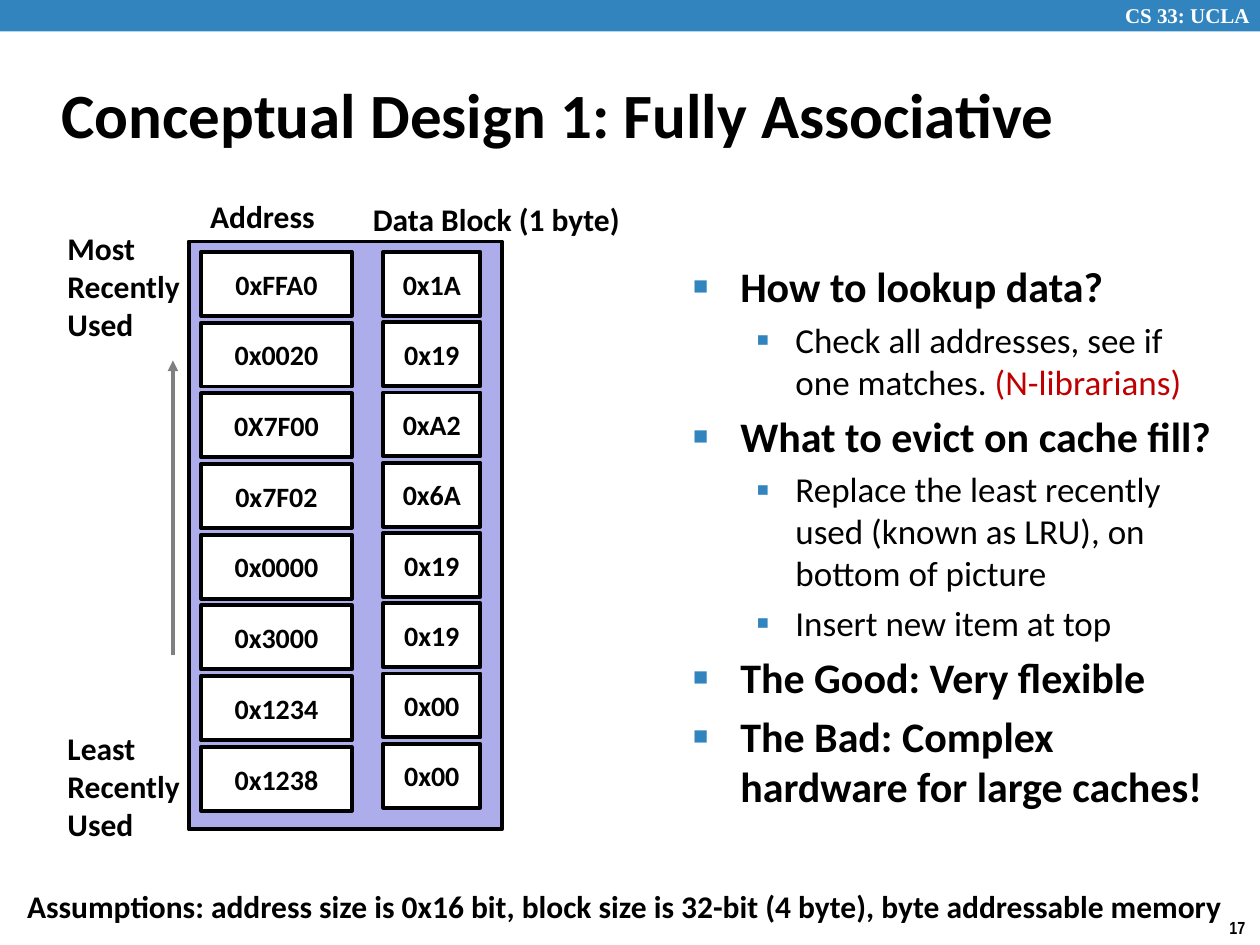
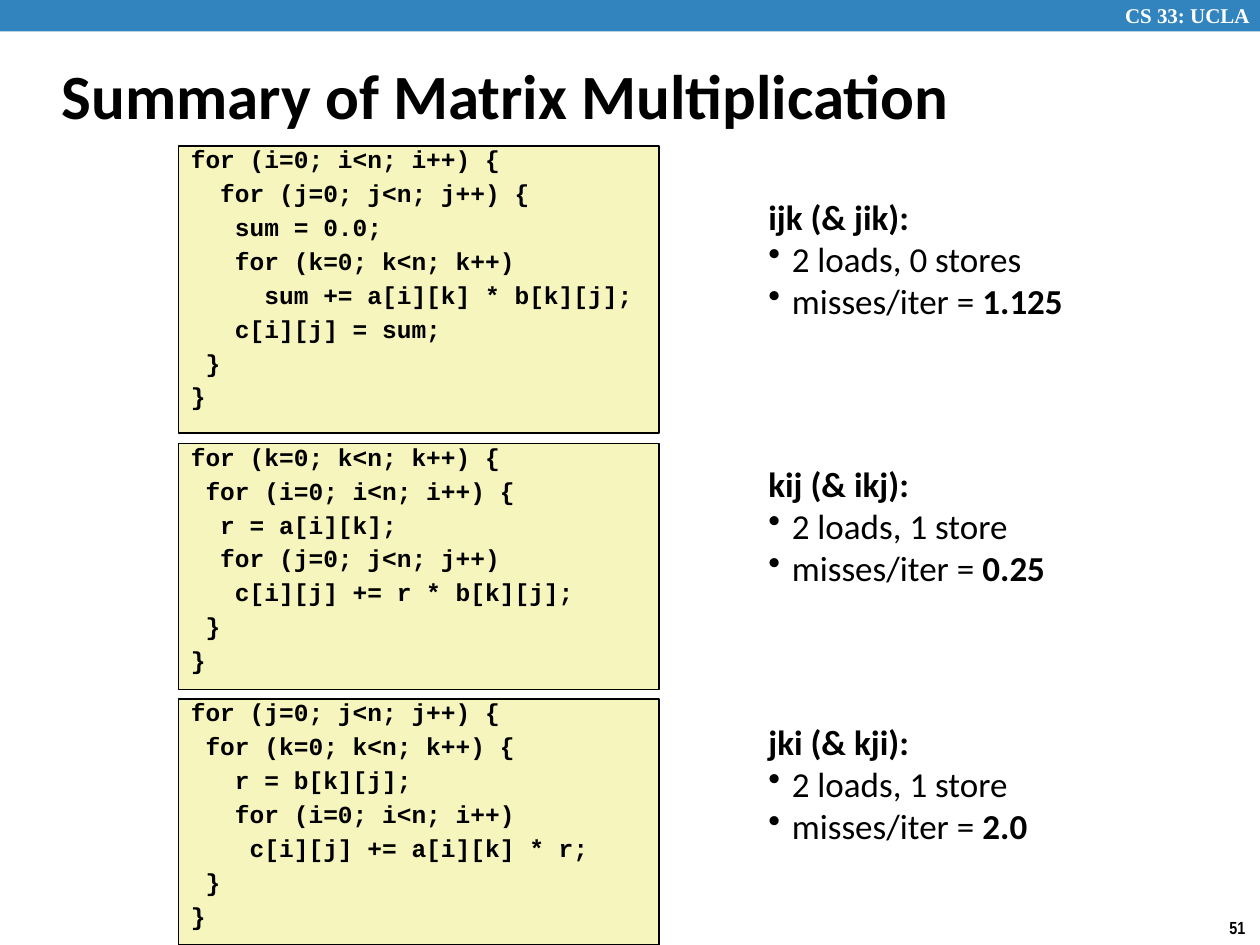
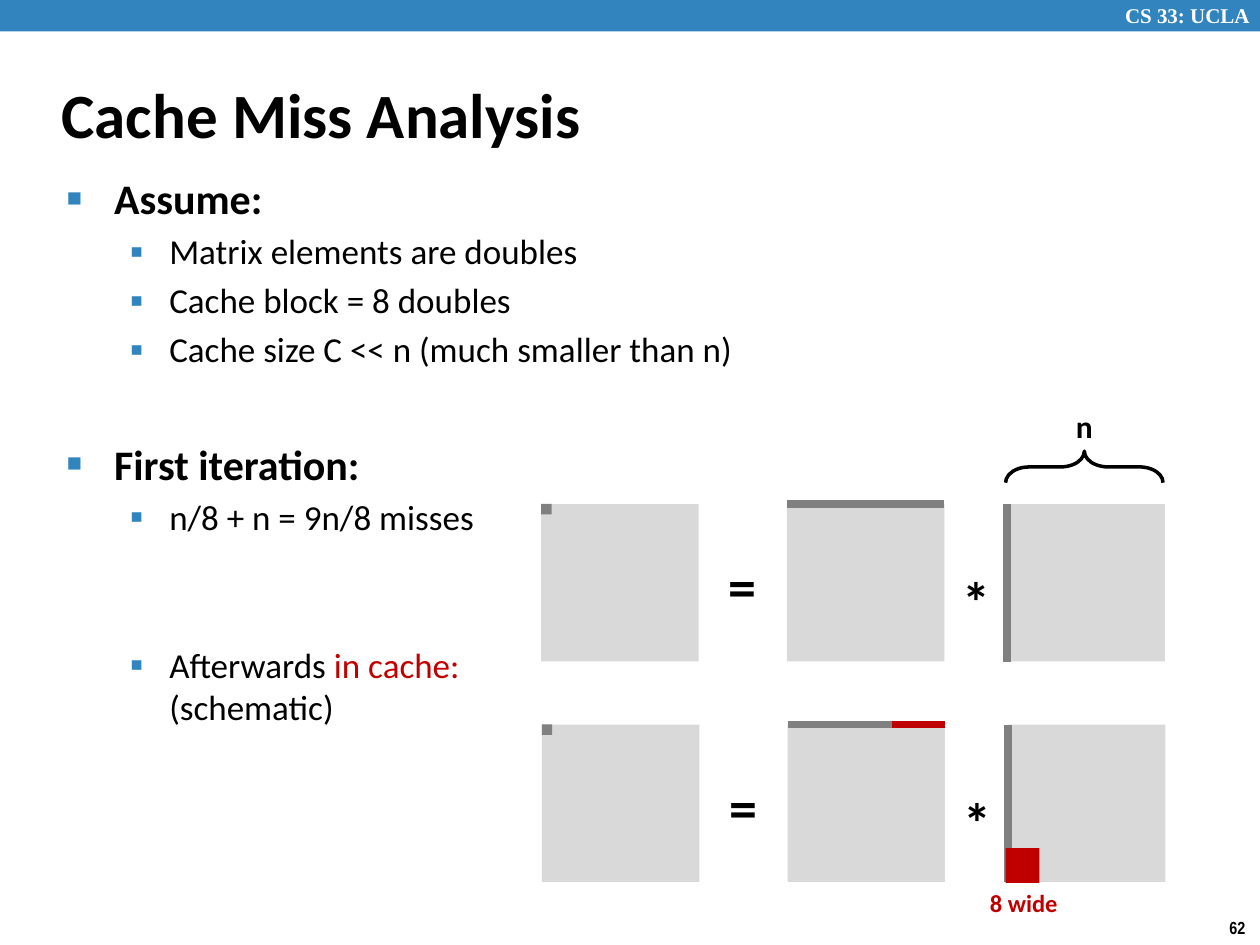
from dataclasses import dataclass
from typing import NamedTuple

from lxml import etree
from pptx import Presentation
from pptx.dml.color import RGBColor
from pptx.enum.shapes import MSO_CONNECTOR, MSO_SHAPE
from pptx.enum.text import MSO_ANCHOR, MSO_AUTO_SIZE, PP_ALIGN
from pptx.oxml.ns import qn
from pptx.util import Pt

RECTANGLE = MSO_SHAPE.RECTANGLE
LEFT_BRACE = MSO_SHAPE.LEFT_BRACE
STRAIGHT = MSO_CONNECTOR.STRAIGHT
TOP, MIDDLE = MSO_ANCHOR.TOP, MSO_ANCHOR.MIDDLE
LEFT, CENTER = PP_ALIGN.LEFT, PP_ALIGN.CENTER
NO_AUTOFIT = MSO_AUTO_SIZE.NONE

SLIDE_WIDTH, SLIDE_HEIGHT = 720, 540
TITLE_AND_BODY, TITLE_ONLY = 1, 5
BLACK, WHITE, BLUE, RED = "000000", "FFFFFF", "3284BF", "C00000"
LAVENDER, CREAM, LIGHT_GRAY, GRAY = "ADADEB", "F6F5BD", "D9D9D9", "808080"


class Frame(NamedTuple):
    left: float
    top: float
    width: float
    height: float


class Span(NamedTuple):
    text: str
    color: str | None = None
    bold: bool | None = None


@dataclass(frozen=True)
class Style:
    size: float
    font: str = "Calibri"
    color: str = BLACK
    bold: bool = True


@dataclass(frozen=True)
class Bullet:
    char: str
    margin: float
    hanging: float
    color: str = BLACK
    percent: int = 100


@dataclass(frozen=True)
class Level:
    style: Style
    bullet: Bullet
    space_before: float


@dataclass(frozen=True)
class Item:
    level: int
    spans: tuple[Span, ...]
    space_before: float | None = None


@dataclass(frozen=True)
class LoopOrder:
    frame: Frame
    code: str
    name: str
    note_top: float
    note_width: float
    accesses: str
    misses: str


TITLE = Style(36)
LABEL = Style(18)
CELL = Style(16)
CODE = Style(14, "Courier New")
OPERATOR = Style(32)
NOTE_HEAD, NOTE = Style(20), Style(20, bold=False)
NOTE_BULLET = Bullet("•", 13.4, 13.4)
LEVELS = (
    Level(Style(24), Bullet("■", 27, 27, BLUE, 60), 4.8),
    Level(Style(20, bold=False), Bullet("▪", 58.5, 22.5, BLUE, 110), 4),
)


def rgb(color: str) -> RGBColor:
    return RGBColor.from_string(color)


def points(frame: Frame) -> list[Pt]:
    return [Pt(value) for value in frame]


def write(paragraph, spans, style: Style) -> None:
    """Fill a paragraph; a span holding only a newline is a line break."""
    font = paragraph.font
    font.size, font.name, font.bold = Pt(style.size), style.font, style.bold
    font.color.rgb = rgb(style.color)
    for span in spans:
        if span.text == "\n":
            paragraph.add_line_break()
            continue
        run = paragraph.add_run()
        run.text = span.text
        if span.color:
            run.font.color.rgb = rgb(span.color)
        if span.bold is not None:
            run.font.bold = span.bold


def add_bullet(paragraph, bullet: Bullet) -> None:
    properties = paragraph._p.get_or_add_pPr()
    properties.set("marL", str(Pt(bullet.margin)))
    properties.set("indent", str(-Pt(bullet.hanging)))
    color = etree.SubElement(properties, qn("a:buClr"))
    etree.SubElement(color, qn("a:srgbClr"), val=bullet.color)
    etree.SubElement(properties, qn("a:buSzPct"), val=str(bullet.percent * 1000))
    etree.SubElement(properties, qn("a:buChar"), char=bullet.char)


def next_paragraph(text_frame, index: int):
    return text_frame.add_paragraph() if index else text_frame.paragraphs[0]


def add_label(page, frame: Frame, text: str, style: Style, wrap: bool = False):
    box = page.shapes.add_textbox(*points(frame))
    box.text_frame.word_wrap = wrap
    write(box.text_frame.paragraphs[0], [Span(text)], style)


def add_box(page, frame: Frame, fill: str, line_width: float = 0):
    box = page.shapes.add_shape(RECTANGLE, *points(frame))
    box.shadow.inherit = False
    box.fill.solid()
    box.fill.fore_color.rgb = rgb(fill)
    if line_width:
        box.line.color.rgb = rgb(BLACK)
        box.line.width = Pt(line_width)
    else:
        box.line.fill.background()
    return box


def add_line(page, start, end, color: str, width: float, arrow: bool = False):
    line = page.shapes.add_connector(STRAIGHT, *map(Pt, (*start, *end)))
    line.line.color.rgb = rgb(color)
    line.line.width = Pt(width)
    if arrow:
        etree.SubElement(line.line._get_or_add_ln(), qn("a:tailEnd"), type="triangle")
    etree.SubElement(line._element.spPr, qn("a:effectLst"))


def place(shape, frame: Frame, anchor) -> None:
    shape.left, shape.top, shape.width, shape.height = points(frame)
    shape.text_frame.auto_size = NO_AUTOFIT
    shape.text_frame.vertical_anchor = anchor


def add_page(deck, layout: int, title: str, number: int, title_top: float = 34.5):
    """Add a slide with the band, course name, page number and title."""
    page = deck.slides.add_slide(deck.slide_layouts[layout])
    add_box(page, Frame(0, 0, SLIDE_WIDTH, 18), BLUE)
    add_label(page, Frame(635.8, -2.2, 89.3, 21.6), "CS 33: UCLA",
              Style(12, "Times New Roman", WHITE))
    add_label(page, Frame(695.5, 520.6, 24.5, 19.4), str(number),
              Style(10, "Arial Narrow"))
    heading = page.shapes.title
    place(heading, Frame(28, title_top, 597.6, 60), MIDDLE)
    paragraph = heading.text_frame.paragraphs[0]
    paragraph.alignment = LEFT
    write(paragraph, [Span(title)], TITLE)
    return page


def fill_body(page, frame: Frame, items: list[Item]) -> None:
    body = page.placeholders[1]
    place(body, frame, TOP)
    for index, item in enumerate(items):
        level = LEVELS[item.level]
        paragraph = next_paragraph(body.text_frame, index)
        paragraph.level = item.level
        space = level.space_before if item.space_before is None else item.space_before
        paragraph.space_before = Pt(space if index else 0)
        add_bullet(paragraph, level.bullet)
        write(paragraph, item.spans, level.style)


def add_cells(page, left: float, width: float, pitch: float, values: str) -> None:
    for row, value in enumerate(values.split()):
        cell = add_box(page, Frame(left, 144 + row * pitch, width, 36.5), WHITE, 2.25)
        cell.text_frame.word_wrap = False
        cell.text_frame.vertical_anchor = MIDDLE
        paragraph = cell.text_frame.paragraphs[0]
        paragraph.alignment = CENTER
        write(paragraph, [Span(value)], CELL)


def build_associative(deck) -> None:
    page = add_page(deck, TITLE_AND_BODY, "Conceptual Design 1: Fully Associative", 17)
    add_box(page, Frame(108, 138, 178.8, 336), LAVENDER, 2.25)
    add_label(page, Frame(113, 109, 75, 29), "Address", LABEL)
    add_label(page, Frame(206, 110.8, 157, 29), "Data Block (1 byte)", LABEL)
    add_cells(page, 115, 86, 40.4,
              "0xFFA0 0x0020 0X7F00 0x7F02 0x0000 0x3000 0x1234 0x1238")
    add_cells(page, 219, 55.5, 40.15, "0x1A 0x19 0xA2 0x6A 0x19 0x19 0x00 0x00")
    add_label(page, Frame(8.4, 503.5, 709, 29),
              "Assumptions: address size is 0x16 bit, block size is 32-bit (4 byte), "
              "byte addressable memory", LABEL)
    fill_body(page, Frame(388.8, 145.4, 313.2, 328.3), [
        Item(0, (Span("How to lookup data?"),)),
        Item(1, (Span("Check all addresses, see if one matches. "),
                 Span("(N-librarians)", RED))),
        Item(0, (Span("What to evict on cache fill?"),)),
        Item(1, (Span("Replace the least recently used (known as LRU), "
                      "on bottom of picture"),)),
        Item(1, (Span("Insert new item at top"),)),
        Item(0, (Span("The Good: Very flexible"),)),
        Item(0, (Span("The Bad: Complex hardware for large caches!"),)),
    ])
    add_line(page, (98.8, 374.4), (98.8, 206), GRAY, 2, arrow=True)
    for top, extreme in ((127.4, "Most"), (413.3, "Least")):
        add_label(page, Frame(31.5, top, 83.5, 72.7), f"{extreme} Recently Used",
                  LABEL, wrap=True)


LOOP_ORDERS = (
    LoopOrder(Frame(102, 83.5, 274.5, 164), """\
for (i=0; i<n; i++) {
  for (j=0; j<n; j++) {
   sum = 0.0;
   for (k=0; k<n; k++)
     sum += a[i][k] * b[k][j];
   c[i][j] = sum;
 }
}""", "ijk (& jik):", 108, 194.4, "2 loads, 0 stores", "1.125"),
    LoopOrder(Frame(102, 253.5, 274.5, 140.5), """\
for (k=0; k<n; k++) {
 for (i=0; i<n; i++) {
  r = a[i][k];
  for (j=0; j<n; j++)
   c[i][j] += r * b[k][j];
 }
}""", "kij (& ikj):", 260.5, 184.3, "2 loads, 1 store", "0.25"),
    LoopOrder(Frame(102, 399.5, 274.5, 140.5), """\
for (j=0; j<n; j++) {
 for (k=0; k<n; k++) {
   r = b[k][j];
   for (i=0; i<n; i++)
    c[i][j] += a[i][k] * r;
 }
}""", "jki (& kji):", 408, 175, "2 loads, 1 store", "2.0"),
)


def add_code(page, frame: Frame, code: str) -> None:
    box = add_box(page, frame, CREAM, 1)
    box.text_frame.vertical_anchor = TOP
    for index, text in enumerate(code.splitlines()):
        paragraph = next_paragraph(box.text_frame, index)
        paragraph.alignment = LEFT
        paragraph.line_spacing = 0.7
        paragraph.space_before = Pt(7.6 if index else 0)
        write(paragraph, [Span(text)], CODE)


def add_note(page, order: LoopOrder) -> None:
    note = page.shapes.add_textbox(
        *points(Frame(432, order.note_top, order.note_width, 80)))
    frame = note.text_frame
    frame.word_wrap = False
    write(frame.paragraphs[0], [Span(order.name)], NOTE_HEAD)
    for spans in ([Span(order.accesses)],
                  [Span("misses/iter = "), Span(order.misses, bold=True)]):
        paragraph = frame.add_paragraph()
        add_bullet(paragraph, NOTE_BULLET)
        write(paragraph, spans, NOTE)


def build_matrix_summary(deck) -> None:
    page = add_page(deck, TITLE_ONLY, "Summary of Matrix Multiplication", 51, 24)
    for order in LOOP_ORDERS:
        add_code(page, order.frame, order.code)
        add_note(page, order)


MATRIX_SIDE = 90
LEFT_FACTOR, RIGHT_FACTOR = 140.4, 266.4


def add_product(page, left: float, top: float) -> None:
    """Draw result = row factor * column factor, with the parts in use darker."""
    for offset in (0, LEFT_FACTOR, RIGHT_FACTOR):
        add_box(page, Frame(left + offset, top, MATRIX_SIDE, MATRIX_SIDE), LIGHT_GRAY)
    row, column = left + LEFT_FACTOR, left + RIGHT_FACTOR
    add_line(page, (row, top), (row + MATRIX_SIDE, top), GRAY, 4.5)
    add_line(page, (column, top), (column, top + MATRIX_SIDE), GRAY, 4.5)
    add_box(page, Frame(left, top, 6, 6), GRAY)
    add_label(page, Frame(left + 100, top + 23.8, 31, 46), "=", OPERATOR)
    add_label(page, Frame(left + 234, top + 32.4, 31, 46), "*", OPERATOR)


def build_miss_analysis(deck) -> None:
    page = add_page(deck, TITLE_AND_BODY, "Cache Miss Analysis", 62)
    fill_body(page, Frame(31, 95, 622, 240.5), [
        Item(0, (Span("Assume:"),)),
        Item(1, (Span("Matrix elements are doubles"),)),
        Item(1, (Span("Cache block = 8 doubles"),)),
        Item(1, (Span("Cache size C << n (much smaller than n)"),)),
        Item(0, (Span("First iteration:"),), 38.9),
        Item(1, (Span("n/8 + n = 9n/8 misses"),)),
        Item(1, (Span("Afterwards "), Span("in cache:", RED), Span("\n"),
                 Span("(schematic)")), 60.4),
    ])
    add_product(page, 309.2, 288)
    add_product(page, 309.6, 414)

    brace = page.shapes.add_shape(LEFT_BRACE, *points(Frame(610.6, 221.8, 18, 90)))
    brace.rotation = 90
    brace.adjustments[0] = 0.75
    brace.shadow.inherit = False
    brace.fill.background()
    brace.line.color.rgb = rgb(BLACK)
    brace.line.width = Pt(2)
    add_label(page, Frame(607.7, 229, 24.5, 29), "n", LABEL)

    add_line(page, (510, 414), (540, 414), RED, 4.5)
    add_box(page, Frame(574.6, 484.6, 19.4, 20), RED)
    add_label(page, Frame(558.5, 504, 53.5, 24.5), "8 wide", Style(14, color=RED))


def main() -> None:
    deck = Presentation()
    deck.slide_width, deck.slide_height = Pt(SLIDE_WIDTH), Pt(SLIDE_HEIGHT)
    build_associative(deck)
    build_matrix_summary(deck)
    build_miss_analysis(deck)
    deck.save("out.pptx")


if __name__ == "__main__":
    main()
